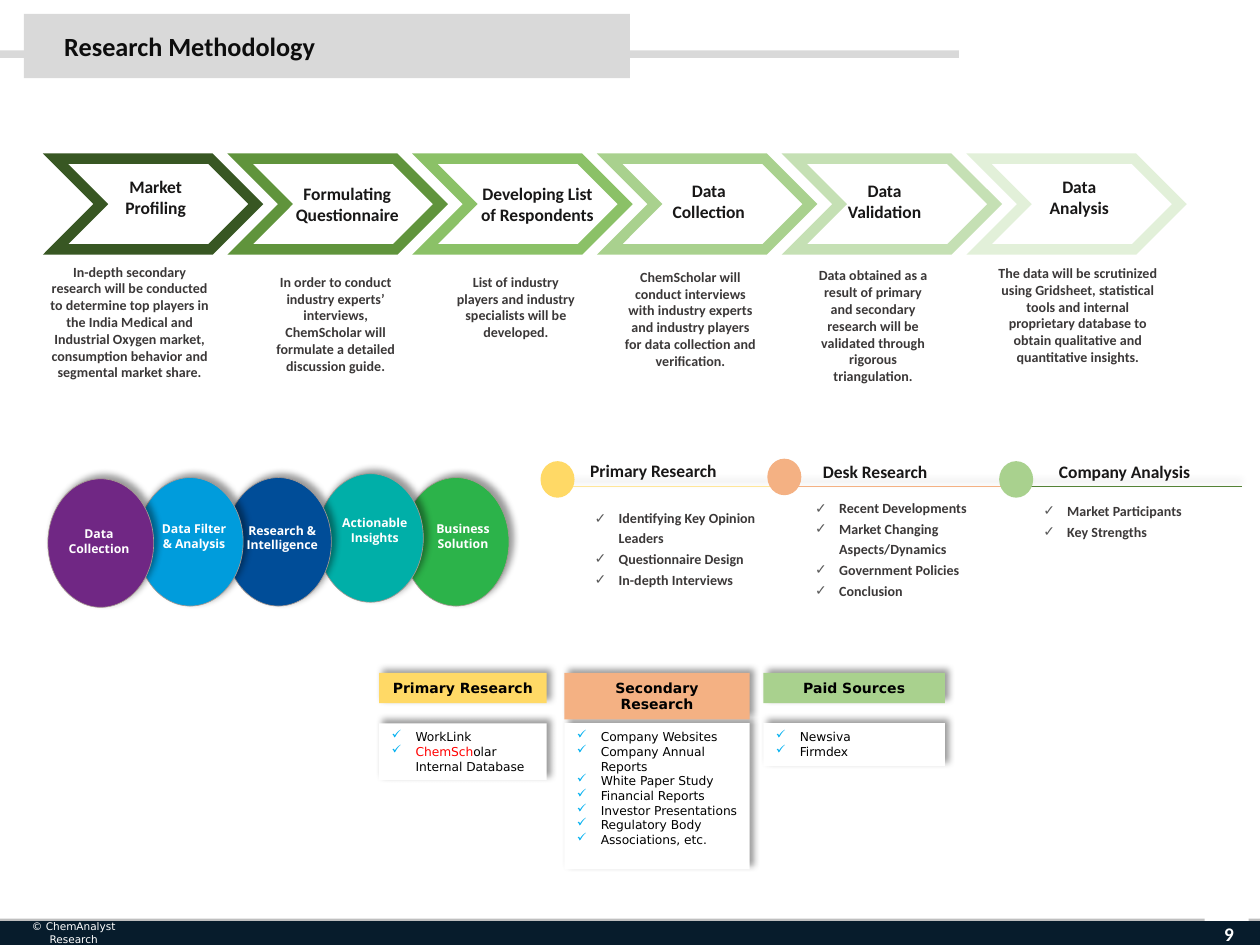
import pptx
import pptx.util
import pptx.dml.color
import pptx.enum.shapes
import pptx.enum.text
import pptx.oxml
import pptx.oxml.ns
from lxml import etree

Inches = pptx.util.Inches
Pt = pptx.util.Pt
RGBColor = pptx.dml.color.RGBColor
KIND = pptx.enum.shapes.MSO_SHAPE
ALIGN = pptx.enum.text.PP_ALIGN
ANCHOR = pptx.enum.text.MSO_ANCHOR
qn = pptx.oxml.ns.qn

WHITE = RGBColor(0xFF, 0xFF, 0xFF)
BLACK = RGBColor(0, 0, 0)
RED = RGBColor(0xFF, 0, 0)
NAVY = RGBColor(0x07, 0x1C, 0x2C)
SILVER = RGBColor(0xBF, 0xBF, 0xBF)
PALE = RGBColor(0xD9, 0xD9, 0xD9)
INK = RGBColor(0x0D, 0x0D, 0x0D)
DARK = RGBColor(0x18, 0x17, 0x17)
BROWN = RGBColor(0x3B, 0x38, 0x38)
GREY = RGBColor(0x59, 0x59, 0x59)
TAUPE = RGBColor(0xA7, 0x99, 0x93)
CYAN = RGBColor(0x00, 0xB0, 0xF0)
YELLOW = RGBColor(0xFF, 0xD9, 0x66)
CREAM = RGBColor(0xFF, 0xE6, 0x99)
ORANGE = RGBColor(0xF4, 0xB1, 0x83)
GREEN = RGBColor(0xA9, 0xD1, 0x8E)
MOSS = RGBColor(0x54, 0x82, 0x35)
STEP_COLOURS = [RGBColor(0x38, 0x57, 0x23), RGBColor(0x60, 0x94, 0x3C),
                RGBColor(0x8B, 0xC1, 0x67), GREEN,
                RGBColor(0xC5, 0xE0, 0xB4), RGBColor(0xE2, 0xF0, 0xD9)]

TITLE = dict(name="Calibri", size=Pt(15), bold=True, color=INK)
LABEL = dict(name="Calibri", size=Pt(10), bold=True, color=DARK)
BODY = dict(name="Calibri", size=Pt(8), bold=True, color=BROWN)
OVAL = dict(name="Open Sans", size=Pt(7), bold=True, color=WHITE)
HEAD = dict(name="DejaVu Sans", size=Pt(8), bold=True, color=BLACK)
ITEM = dict(name="DejaVu Sans", size=Pt(7), bold=False, color=BLACK)
FOOT = dict(name="DejaVu Sans", size=Pt(6), bold=False, color=WHITE)
PAGE = dict(name="Calibri", size=Pt(11), bold=True, color=WHITE)

# Label, its box, description, its box
STEPS = [
    ("Market Profiling", (0.86, 1.35, 0.75, 0.44),
     "In-depth secondary research will be conducted to determine top players in "
     "the India Medical and Industrial Oxygen market, consumption behavior and "
     "segmental market share.", (0.3, 2.04, 1.46, 1.04)),
    ("Formulating Questionnaire", (2.23, 1.4, 1.05, 0.44),
     "In order to conduct industry experts’ interviews, ChemScholar will "
     "formulate a detailed discussion guide.", (2.03, 2.12, 1.27, 1.04)),
    ("Developing List of Respondents", (3.71, 1.4, 1.11, 0.44),
     "List of industry players and industry specialists will be developed.",
     (3.5, 2.12, 1.19, 0.64)),
    ("Data Collection", (5.22, 1.38, 0.81, 0.44),
     "ChemScholar will conduct interviews with industry experts and industry "
     "players for data collection and verification.", (4.84, 2.08, 1.28, 0.92)),
    ("Data Validation", (6.61, 1.38, 0.82, 0.44),
     "Data obtained as a result of primary and secondary research will be "
     "validated through rigorous triangulation.", (6.35, 2.07, 1.16, 1.04)),
    ("Data Analysis", (8.19, 1.35, 0.75, 0.44),
     "The data will be scrutinized using Gridsheet, statistical tools and "
     "internal proprietary database to obtain qualitative and quantitative "
     "insights.", (7.8, 2.05, 1.51, 0.91)),
]
# Lines, left and top of oval, colour, text box; rightmost lies at the back
OVALS = [
    (["Business", "Solution"], 3.2, 3.79, RGBColor(0x2C, 0xB3, 0x4A), (3.36, 4.09, 0.63, 0.34)),
    (["Actionable", "Insights"], 2.52, 3.76, RGBColor(0, 0xAF, 0xA8), (2.61, 4.04, 0.73, 0.34)),
    (["Research &", "Intelligence"], 1.79, 3.79, RGBColor(0, 0x4D, 0x98), (1.85, 4.1, 0.78, 0.34)),
    (["Data Filter", "& Analysis"], 1.09, 3.79, RGBColor(0, 0x9C, 0xDC), (1.18, 4.09, 0.72, 0.34)),
    (["Data", "Collection"], 0.38, 3.8, RGBColor(0x70, 0x27, 0x84), (0.44, 4.13, 0.69, 0.34)),
]
# Heading, its box, line ends, line colour, dot corner, dot colour, list, its box
TOPICS = [
    ("Primary Research", (4.46, 3.6, 1.45, 0.27), (4.37, 6.11), CREAM, (4.29, 3.66), YELLOW,
     ["Identifying Key Opinion Leaders", "Questionnaire Design", "In-depth Interviews"],
     (4.72, 4.02, 1.57, 0.65)),
    ("Desk Research", (5.53, 3.61, 2.83, 0.27), (6.19, 8.18), ORANGE, (6.09, 3.64), ORANGE,
     ["Recent Developments", "Market Changing Aspects/Dynamics", "Government Policies",
      "Conclusion"], (6.47, 3.94, 1.4, 0.98)),
    ("Company Analysis", (7.86, 3.61, 2.13, 0.27), (8.06, 9.86), MOSS, (7.93, 3.66), GREEN,
     ["Market Participants", "Key Strengths"], (8.28, 3.96, 1.57, 0.32)),
]
# Heading, colour, left, width, heading height, list, list height
SOURCES = [
    ("Primary Research", YELLOW, 3.01, 1.33, 0.24,
     ["WorkLink", [("ChemSch", RED), ("olar Internal Database", BLACK)]], 0.45),
    ("Secondary Research", ORANGE, 4.48, 1.47, 0.37,
     ["Company Websites", "Company Annual Reports", "White Paper Study", "Financial Reports",
      "Investor Presentations", "Regulatory Body", "Associations, etc."], 1.16),
    ("Paid Sources", GREEN, 6.06, 1.44, 0.24, ["Newsiva", "Firmdex"], 0.34),
]


def style(font, look):
    for key, value in look.items():
        if key == "color":
            font.color.rgb = value
        else:
            setattr(font, key, value)


def check(para, colour):
    """Give the paragraph a hanging tick."""
    props = para._p.get_or_add_pPr()
    props.set("marL", str(Inches(0.19)))
    props.set("indent", str(-Inches(0.19)))
    tint = etree.SubElement(props, qn("a:buClr"))
    etree.SubElement(tint, qn("a:srgbClr"), val=str(colour))
    etree.SubElement(props, qn("a:buChar"), char="✓")


def write(shape, lines, look, align=ALIGN.CENTER, anchor=ANCHOR.TOP, wrap=True,
          tick=None, inset=None, spacing=None, before=0):
    """Fill the shape; a line is a string or a list of (text, colour) parts."""
    frame = shape.text_frame
    frame.auto_size = pptx.enum.text.MSO_AUTO_SIZE.NONE
    frame.word_wrap = wrap
    frame.vertical_anchor = anchor
    if inset is not None:
        for side in ("left", "right", "top", "bottom"):
            setattr(frame, "margin_" + side, Inches(inset))
    for i, line in enumerate(lines):
        para = frame.add_paragraph() if i else frame.paragraphs[0]
        if tick is not None:
            check(para, tick)
        layout = dict(alignment=align, space_before=Pt(before if i else 0), line_spacing=spacing)
        for key, value in layout.items():
            setattr(para, key, value)
        for text, colour in [(line, look["color"])] if isinstance(line, str) else line:
            run = para.add_run()
            run.text = text
            style(run.font, {**look, "color": colour})


def place(shape, box):
    for key, value in zip(("left", "top", "width", "height"), box):
        setattr(shape, key, Inches(value))


def label(shapes, box, lines, look, **more):
    write(shapes.add_textbox(*map(Inches, box)), lines, look, **more)


def shade(effects, angle):
    cast = etree.SubElement(effects, qn("a:outerShdw"), blurRad=str(Pt(4)), dist=str(Pt(3)),
                            dir=str(angle * 60000), algn="ctr", rotWithShape="0")
    tone = etree.SubElement(cast, qn("a:srgbClr"), val="000000")
    etree.SubElement(tone, qn("a:alpha"), val="40000")


def block(shapes, kind, box, fill, line=None, weight=1, shadow=False):
    shape = shapes.add_shape(kind, *map(Inches, box))
    shape.fill.solid()
    shape.fill.fore_color.rgb = fill
    if line is None:
        shape.line.fill.background()
    else:
        shape.line.color.rgb = line
        shape.line.width = Pt(weight)
        etree.SubElement(shape.line._get_or_add_ln(), qn("a:miter"), lim="800000")
    shape.shadow.inherit = False
    if shadow:
        shade(shape._element.spPr.find(qn("a:effectLst")), 315)
    return shape


def rule(shapes, start, end, y, colour):
    line = shapes.add_connector(pptx.enum.shapes.MSO_CONNECTOR.STRAIGHT,
                                *map(Inches, (start, y, end, y)))
    line.line.color.rgb = colour
    line.line.width = Pt(0.5)
    shade(etree.SubElement(line._element.spPr, qn("a:effectLst")), 270)


def draw_frame(shapes):
    for box, fill in [((0, 7.29, 10, 0.21), SILVER), ((9.56, 7.13, 0.35, 0.37), WHITE),
                      ((0, 7.31, 10, 0.19), NAVY), ((0.19, 0.11, 4.81, 0.51), PALE),
                      ((0, 0.4, 7.61, 0.06), PALE)]:
        block(shapes, KIND.RECTANGLE, box, fill)
    label(shapes, (0, 7.33, 1.17, 0.15), ["© ChemAnalyst Research"], FOOT, anchor=ANCHOR.MIDDLE)
    label(shapes, (9.51, 7.21, 0.49, 0.4), ["9"], PAGE, anchor=ANCHOR.MIDDLE)


def draw_steps(shapes):
    for i, colour in enumerate(STEP_COLOURS):
        block(shapes, KIND.CHEVRON, (0.44 + 1.466 * i, 1.26, 1.59, 0.72), WHITE, colour, 6)
    for name, spot, text, box in STEPS:
        label(shapes, spot, [name], LABEL)
        label(shapes, box, [text], BODY)


def draw_ovals(shapes):
    for _, left, top, fill, _ in OVALS:
        block(shapes, KIND.OVAL, (left, top, 0.84, 1.02), fill, TAUPE, 0.37, True)
    for lines, _, _, _, box in OVALS:
        label(shapes, box, lines, OVAL, wrap=False)


def draw_topics(shapes, bodies):
    for topic in TOPICS:
        rule(shapes, *topic[2], 3.86, topic[3])
    for (name, spot, _, _, dot, fill, items, box), body in zip(TOPICS, bodies):
        block(shapes, KIND.OVAL, (*dot, 0.27, 0.29), fill)
        label(shapes, spot, [name], LABEL)
        place(body, box)
        write(body, items, BODY, align=ALIGN.LEFT, tick=GREY, inset=0, spacing=1.2, before=0.4)


def draw_sources(shapes):
    for name, fill, left, width, high, items, tall in SOURCES:
        card = block(shapes, KIND.RECTANGLE, (left, 5.74, width, tall), WHITE, shadow=True)
        write(card, items, ITEM, align=ALIGN.LEFT, tick=CYAN)
        head = block(shapes, KIND.RECTANGLE, (left, 5.34, width, high), fill, shadow=True)
        write(head, [name], HEAD)


def main():
    deck = pptx.Presentation()
    deck.slide_width, deck.slide_height = Inches(10), Inches(7.5)
    slide = deck.slides.add_slide(deck.slide_layouts.get_by_name("Comparison"))
    shapes = slide.shapes
    title, *bodies, spare = slide.placeholders
    spare._element.getparent().remove(spare._element)
    draw_frame(shapes)
    draw_steps(shapes)
    draw_ovals(shapes.add_group_shape().shapes)
    draw_topics(shapes, bodies)
    draw_sources(shapes.add_group_shape().shapes)
    place(title, (0.41, 0.19, 4.37, 0.35))
    write(title, ["Research Methodology"], TITLE, align=ALIGN.LEFT, anchor=ANCHOR.MIDDLE)
    shapes._spTree.append(title._element)
    deck.save("out.pptx")


if __name__ == "__main__":
    main()
